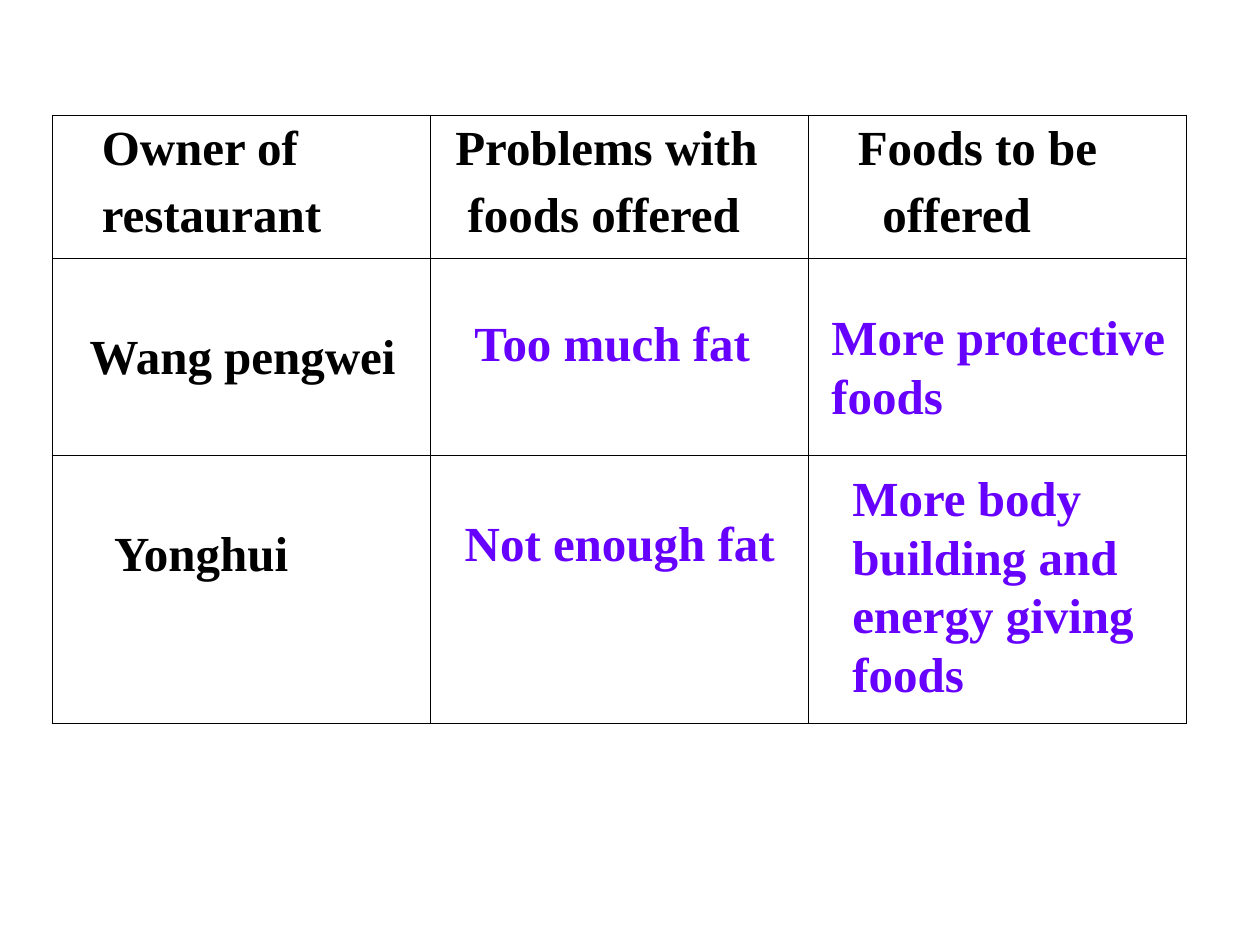
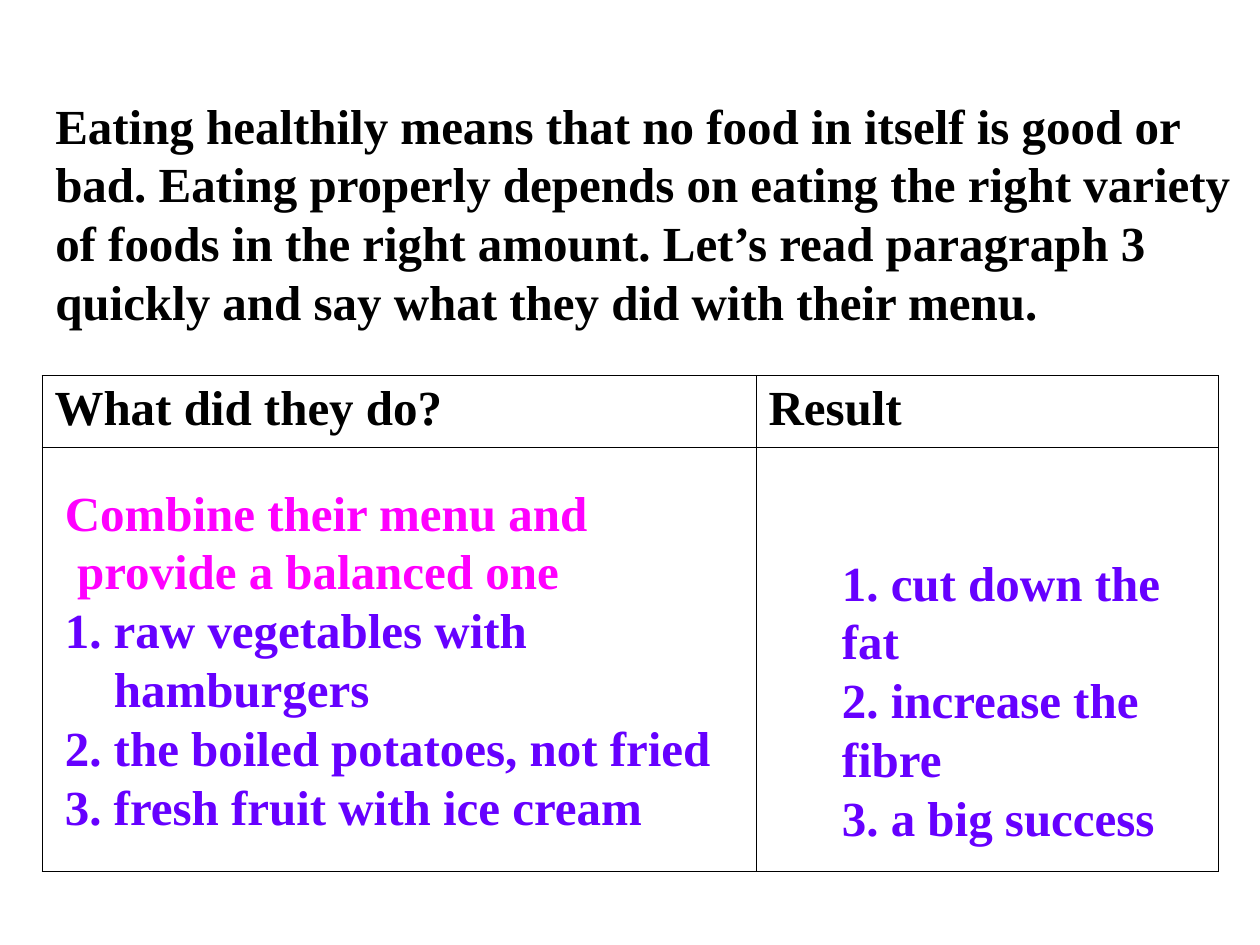
from dataclasses import dataclass

from lxml import etree
from pptx import Presentation
from pptx.dml.color import RGBColor
from pptx.enum.text import MSO_ANCHOR
from pptx.oxml.ns import qn
from pptx.util import Pt

TOP, MIDDLE = MSO_ANCHOR.TOP, MSO_ANCHOR.MIDDLE
BLANK_LAYOUT = 6


@dataclass(frozen=True)
class Theme:
    font: str = "Times New Roman"
    size: float = 28
    black: str = "000000"
    answer: str = "6600FF"
    highlight: str = "FF00FF"
    inner_border: float = 0.45
    outer_border: float = 1.08
    text_pitch: float = 33.6
    cell_pitch: float = 31
    cell_gap: float = 7
    side_inset: float = 7.2
    top_inset: float = 3.6


THEME = Theme()


@dataclass(frozen=True)
class Line:
    text: str
    indent: float = 0
    color: str = THEME.black


def write_lines(frame, lines, pitch, gap=0):
    """Fill a text frame with one paragraph per line, spaced at a fixed pitch."""
    for index, line in enumerate(lines):
        paragraph = frame.paragraphs[0] if index == 0 else frame.add_paragraph()
        paragraph.line_spacing = Pt(pitch)
        paragraph.space_before = Pt(gap if index else 0)
        properties = paragraph._p.get_or_add_pPr()
        properties.set("marL", str(Pt(line.indent)))
        properties.set("indent", "0")
        run = paragraph.add_run()
        run.text = line.text
        run.font.name = THEME.font
        run.font.size = Pt(THEME.size)
        run.font.bold = True
        run.font.color.rgb = RGBColor.from_string(line.color)


def add_text(slide, left, top, width, height, lines, anchor=TOP):
    frame = slide.shapes.add_textbox(Pt(left), Pt(top), Pt(width), Pt(height)).text_frame
    frame.word_wrap = True
    frame.vertical_anchor = anchor
    write_lines(frame, lines, THEME.text_pitch)


def add_answer(slide, left, top, width, height, text):
    add_text(slide, left, top, width, height, [Line(text, color=THEME.answer)])


def set_borders(cell, widths):
    """Draw the cell's borders; widths maps L, R, T and B to points."""
    properties = cell._tc.get_or_add_tcPr()
    for index, (side, width) in enumerate(widths.items()):
        border = etree.Element(qn(f"a:ln{side}"), w=str(Pt(width)))
        fill = etree.SubElement(border, qn("a:solidFill"))
        etree.SubElement(fill, qn("a:srgbClr"), val=THEME.black)
        properties.insert(index, border)


def add_grid(slide, left, top, columns, rows, contents, outer=THEME.inner_border):
    """Add a ruled table; contents maps (row, column) to (lines, top inset)."""
    table = slide.shapes.add_table(
        len(rows), len(columns), Pt(left), Pt(top), Pt(sum(columns)), Pt(sum(rows))
    ).table
    table.first_row = table.horz_banding = False
    for column, width in zip(table.columns, columns):
        column.width = Pt(width)
    for row, height in zip(table.rows, rows):
        row.height = Pt(height)
    last_row, last_column = len(rows) - 1, len(columns) - 1
    for r in range(len(rows)):
        for c in range(len(columns)):
            cell = table.cell(r, c)
            cell.fill.background()
            edges = {"L": c == 0, "R": c == last_column, "T": r == 0, "B": r == last_row}
            set_borders(cell, {side: outer if at_edge else THEME.inner_border
                               for side, at_edge in edges.items()})
            lines, inset = contents.get((r, c), ([], THEME.top_inset))
            cell.margin_left = cell.margin_right = Pt(THEME.side_inset)
            cell.margin_top, cell.margin_bottom = Pt(inset), Pt(THEME.top_inset)
            write_lines(cell.text_frame, lines, THEME.cell_pitch, THEME.cell_gap)


def add_problems_slide(slide):
    headings = [
        [Line("Owner of", 21), Line("restaurant", 21)],
        [Line("Problems with", 7), Line("foods offered", 14)],
        [Line("Foods to be", 21), Line("offered", 35)],
    ]
    contents = {(0, c): (lines, THEME.top_inset) for c, lines in enumerate(headings)}
    owner_inset = THEME.top_inset + THEME.cell_pitch + THEME.cell_gap
    contents[1, 0] = [Line("Wang pengwei", 14)], owner_inset
    contents[2, 0] = [Line("Yonghui", 28)], owner_inset
    add_grid(slide, 30, 66, [216] * 3, [81.5, 112.5, 153.5], contents, THEME.outer_border)

    add_answer(slide, 264, 175, 178, 41, "Too much fat")
    add_answer(slide, 468, 171.5, 217.5, 75, "More protective foods")
    add_answer(slide, 258.5, 289.5, 196, 41, "Not enough fat")
    add_answer(slide, 480, 263.5, 222, 142, "More body building and energy giving foods")


def add_menu_slide(slide):
    introduction = [
        "Eating healthily means that no food in itself is good or",
        "bad. Eating properly depends on eating the right variety",
        "of foods in the right amount. Let’s read paragraph 3",
        "quickly and say what they did with their menu.",
    ]
    add_text(slide, 24.5, 50.5, 693.5, 142, [Line(text) for text in introduction], MIDDLE)

    headings = ["What did they do?", "Result"]
    contents = {(0, c): ([Line(text)], THEME.top_inset) for c, text in enumerate(headings)}
    add_grid(slide, 24, 214.5, [408, 264], [41, 242.5], contents)

    results = ["1. cut down the fat", "2. increase the fibre", "3. a big success"]
    add_text(slide, 438, 312, 258, 175.5,
             [Line(text, 36, THEME.answer) for text in results])
    add_text(slide, 30, 272, 390, 209, [
        Line("Combine their menu and", 0, THEME.highlight),
        Line("provide a balanced one", 7, THEME.highlight),
        Line("1. raw vegetables with", 0, THEME.answer),
        Line("hamburgers", 28, THEME.answer),
        Line("2. the boiled potatoes, not fried", 0, THEME.answer),
        Line("3. fresh fruit with ice cream", 0, THEME.answer),
    ])


def main():
    presentation = Presentation()
    presentation.slide_width, presentation.slide_height = Pt(720), Pt(540)
    layout = presentation.slide_layouts[BLANK_LAYOUT]
    for build in (add_problems_slide, add_menu_slide):
        build(presentation.slides.add_slide(layout))
    presentation.save("out.pptx")


if __name__ == "__main__":
    main()
